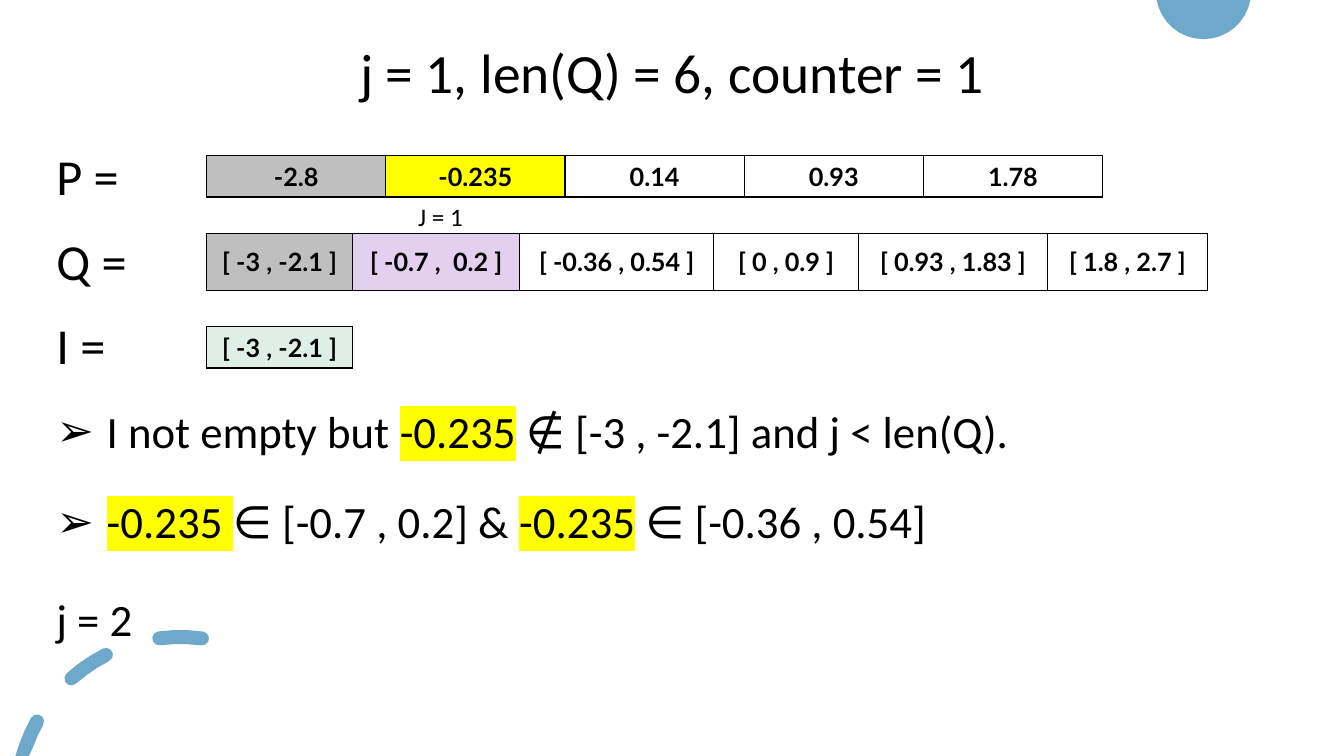
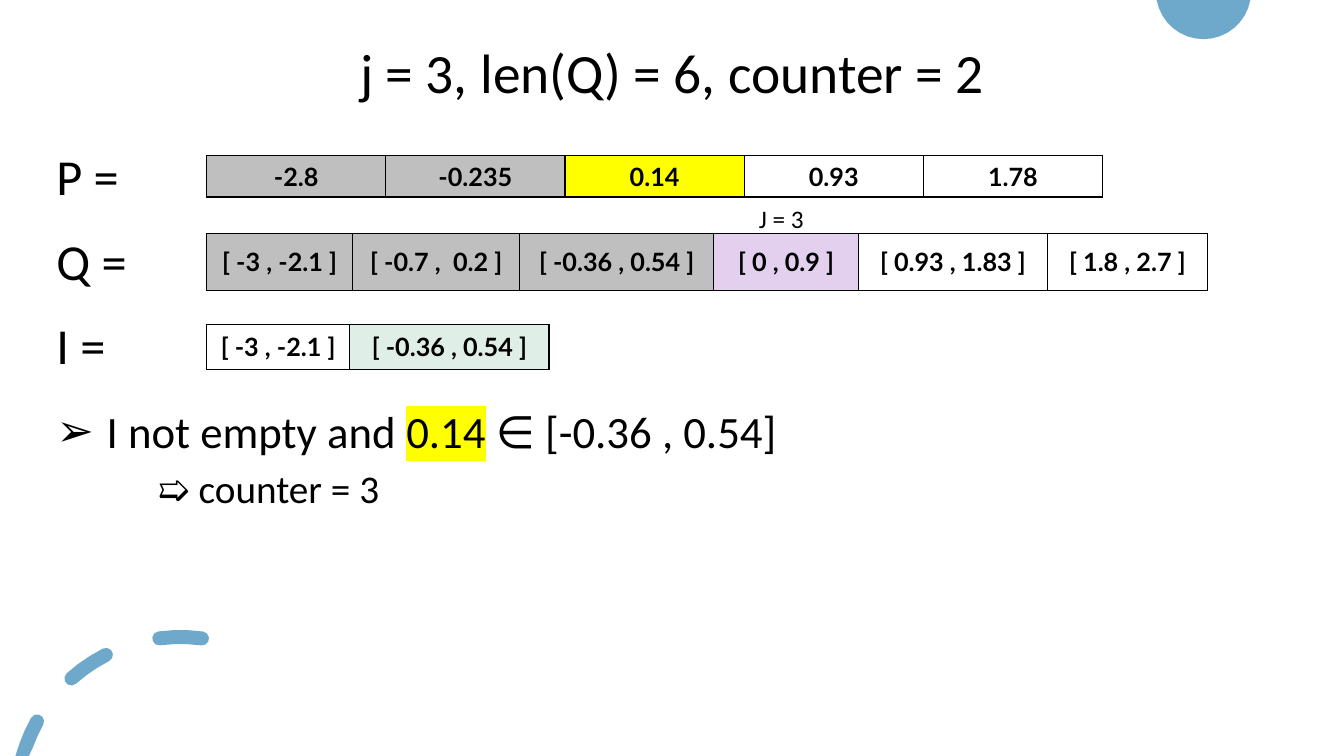
from dataclasses import dataclass
from math import cos, radians, sin

from pptx import Presentation
from pptx.dml.color import RGBColor
from pptx.enum.text import MSO_ANCHOR as Anchor, PP_ALIGN as Align
from pptx.oxml.ns import qn
from pptx.oxml.xmlchemy import OxmlElement as new_element
from pptx.util import Pt


@dataclass(frozen=True)
class Theme:
    width: float = 960
    height: float = 540
    text_font: str = "Calibri"
    array_font: str = "Lato"
    title_size: float = 39.6
    label_size: float = 36
    body_size: float = 32
    result_size: float = 28
    small_size: float = 18
    ink: str = "000000"
    accent: str = "6EA8CA"
    passed: str = "BFBFBF"
    current_point: str = "FFFF00"
    current_interval: str = "E3D0EE"
    newest: str = "DFEFE8"


THEME = Theme()


@dataclass(frozen=True)
class Line:
    runs: tuple
    size: float = THEME.body_size
    before: float = 0
    indent: float = 0
    bullet: str = ""


ARRAY_LEFT = 147.6
P_VALUES = ("-2.8", "-0.235", "0.14", "0.93", "1.78")
P_WIDTHS = (128,) * len(P_VALUES)
Q_VALUES = ("[ -3 , -2.1 ]", "[ -0.7 ,  0.2 ]", "[ -0.36 , 0.54 ]",
            "[ 0 , 0.9 ]", "[ 0.93 , 1.83 ]", "[ 1.8 , 2.7 ]")
Q_WIDTHS = (104.3, 119.4, 138.4, 103.7, 134.6, 114.8)
I_VALUES = ("[ -3 , -2.1 ]", "[ -0.36 , 0.54 ]")

STEPS = (
    dict(
        title="j = 1, len(Q) = 6, counter = 1",
        p_index=1, q_index=1, marker=("J = 1", 291.6, 140.4),
        i_widths=(104.3,), i_top=233.4, i_height=29.5,
        reasoning=(
            Line((("I not empty but ", False), ("-0.235", True),
                  (" ∉ [-3 , -2.1] and j < len(Q).", False)), indent=36, bullet="➢"),
            Line((("-0.235 ", True), ("∈ [-0.7 , 0.2] & ", False), ("-0.235", True),
                  (" ∈ [-0.36 , 0.54]", False)), before=30, indent=36, bullet="➢"),
            Line((("j = 2", False),), before=35),
        ),
    ),
    dict(
        title="j = 3, len(Q) = 6, counter = 2",
        p_index=2, q_index=3, marker=("J = 3", 535, 141.8),
        i_widths=(102.2, 142.4), i_top=231.8, i_height=32.4,
        reasoning=(
            Line((("I not empty and ", False), ("0.14", True),
                  (" ∈ [-0.36 , 0.54]", False)), indent=36, bullet="➢"),
            Line((("➯ counter = 3", False),), THEME.result_size, before=8, indent=72),
        ),
    ),
)


def rgb(color):
    return RGBColor.from_string(color)


def apply_format(target, values):
    for attribute, value in values.items():
        setattr(target, attribute, value)


def make_element(tag, **attributes):
    element = new_element(tag)
    for key, value in attributes.items():
        element.set(key, str(value))
    return element


def color_element(tag, color):
    element = new_element(tag)
    element.append(make_element("a:srgbClr", val=color))
    return element


def add_run(paragraph, text, size, font=THEME.text_font, bold=False, marked=False):
    run = paragraph.add_run()
    run.text = text
    apply_format(run.font, dict(size=Pt(size), name=font, bold=bold))
    run.font.color.rgb = rgb(THEME.ink)
    if marked:
        ink_fill = run.font._element.find(qn("a:solidFill"))
        ink_fill.addnext(color_element("a:highlight", THEME.current_point))


def add_text(slide, box, lines, align=Align.LEFT, anchor=Anchor.TOP, spacing=0.9):
    frame = slide.shapes.add_textbox(*map(Pt, box)).text_frame
    apply_format(frame, dict(word_wrap=True, vertical_anchor=anchor))
    for number, line in enumerate(lines):
        paragraph = frame.add_paragraph() if number else frame.paragraphs[0]
        apply_format(paragraph, dict(alignment=align, line_spacing=spacing,
                                     space_before=Pt(line.before)))
        properties = paragraph._p.get_or_add_pPr()
        properties.set("marL", str(Pt(line.indent)))
        if line.bullet:
            properties.set("indent", str(-Pt(line.indent)))
            properties.append(make_element("a:buFont", typeface=THEME.text_font))
            properties.append(make_element("a:buChar", char=line.bullet))
        for text, marked in line.runs:
            add_run(paragraph, text, line.size, marked=marked)


def add_borders(cell):
    properties = cell._tc.get_or_add_tcPr()
    for side in ("a:lnL", "a:lnR", "a:lnT", "a:lnB"):
        edge = make_element(side, w=Pt(1))
        edge.append(color_element("a:solidFill", THEME.ink))
        properties.append(edge)


def add_array(slide, top, height, values, widths, current, color, passed=None):
    frame = slide.shapes.add_table(1, len(widths), Pt(ARRAY_LEFT), Pt(top),
                                   Pt(sum(widths)), Pt(height))
    array = frame.table
    apply_format(array, dict(first_row=False, horz_banding=False))
    for index, (value, width) in enumerate(zip(values, widths)):
        array.columns[index].width = Pt(width)
        cell = array.cell(0, index)
        cell.vertical_anchor = Anchor.MIDDLE
        paragraph = cell.text_frame.paragraphs[0]
        paragraph.alignment = Align.CENTER
        add_run(paragraph, value, THEME.small_size, THEME.array_font, bold=True)
        add_borders(cell)
        fill = color if index == current else passed if index < current else None
        if fill:
            cell.fill.solid()
            cell.fill.fore_color.rgb = rgb(fill)
        else:
            cell.fill.background()


def arc_points(center, radius, start, end, steps):
    angles = [radians(start + (end - start) * n / steps) for n in range(steps + 1)]
    return [(center[0] - radius * cos(a), center[1] - radius * sin(a)) for a in angles]


def add_outline(slide, contours):
    clipped = [[(Pt(x), Pt(min(max(y, 0), THEME.height))) for x, y in contour]
               for contour in contours]
    builder = slide.shapes.build_freeform(*clipped[0][0], scale=1.0)
    for number, corners in enumerate(clipped):
        if number:
            builder.move_to(*corners[0])
        builder.add_line_segments(corners[1:], close=True)
    shape = builder.convert_to_shape()
    shape.shadow.inherit = False
    shape.fill.solid()
    shape.fill.fore_color.rgb = rgb(THEME.accent)
    shape.line.fill.background()


def dash_contour(start, end, center=(128.8, 572), radius=117, half=5):
    def cap(angle, first):
        middle = arc_points(center, radius, angle, angle, 1)[0]
        return arc_points(middle, half, first, first + 180, 5)[1:-1]

    starts_on_slide = center[1] - radius * sin(radians(start)) < THEME.height
    return (arc_points(center, radius + half, start, end, 3)
            + cap(end, end)
            + arc_points(center, radius - half, end, start, 3)
            + (cap(start, start + 180) if starts_on_slide else []))


def add_decoration(slide):
    add_outline(slide, [arc_points((859.7, -6), 34, -10, -170, 16)])
    add_outline(slide, [dash_contour(start, end)
                        for start, end in ((15, 29), (48.3, 63), (82.6, 97.6))])


def add_step(slide, step):
    add_decoration(slide)
    add_text(slide, (66.2, 26.8, 828, 54.7),
             [Line(((step["title"], False),), THEME.title_size)],
             Align.CENTER, Anchor.MIDDLE)
    add_text(slide, (33.1, 105.1, 894.2, 378),
             [Line(((f"{name} =", False),), THEME.label_size, before=21.5 if row else 0)
              for row, name in enumerate("PQI")])
    add_array(slide, 111.3, 29.5, P_VALUES, P_WIDTHS, step["p_index"],
              THEME.current_point, THEME.passed)
    add_array(slide, 167, 40.3, Q_VALUES, Q_WIDTHS, step["q_index"],
              THEME.current_interval, THEME.passed)
    add_array(slide, step["i_top"], step["i_height"], I_VALUES,
              step["i_widths"], len(step["i_widths"]) - 1, THEME.newest)
    add_text(slide, (33.1, 289.2, 894.2, 222.5), step["reasoning"])
    marker, left, top = step["marker"]
    add_text(slide, (left, top, 57.6, 29),
             [Line(((marker, False),), THEME.small_size)], spacing=1.0)


def main():
    deck = Presentation()
    apply_format(deck, dict(slide_width=Pt(THEME.width), slide_height=Pt(THEME.height)))
    for step in STEPS:
        add_step(deck.slides.add_slide(deck.slide_layouts[6]), step)
    deck.save("out.pptx")


if __name__ == "__main__":
    main()
